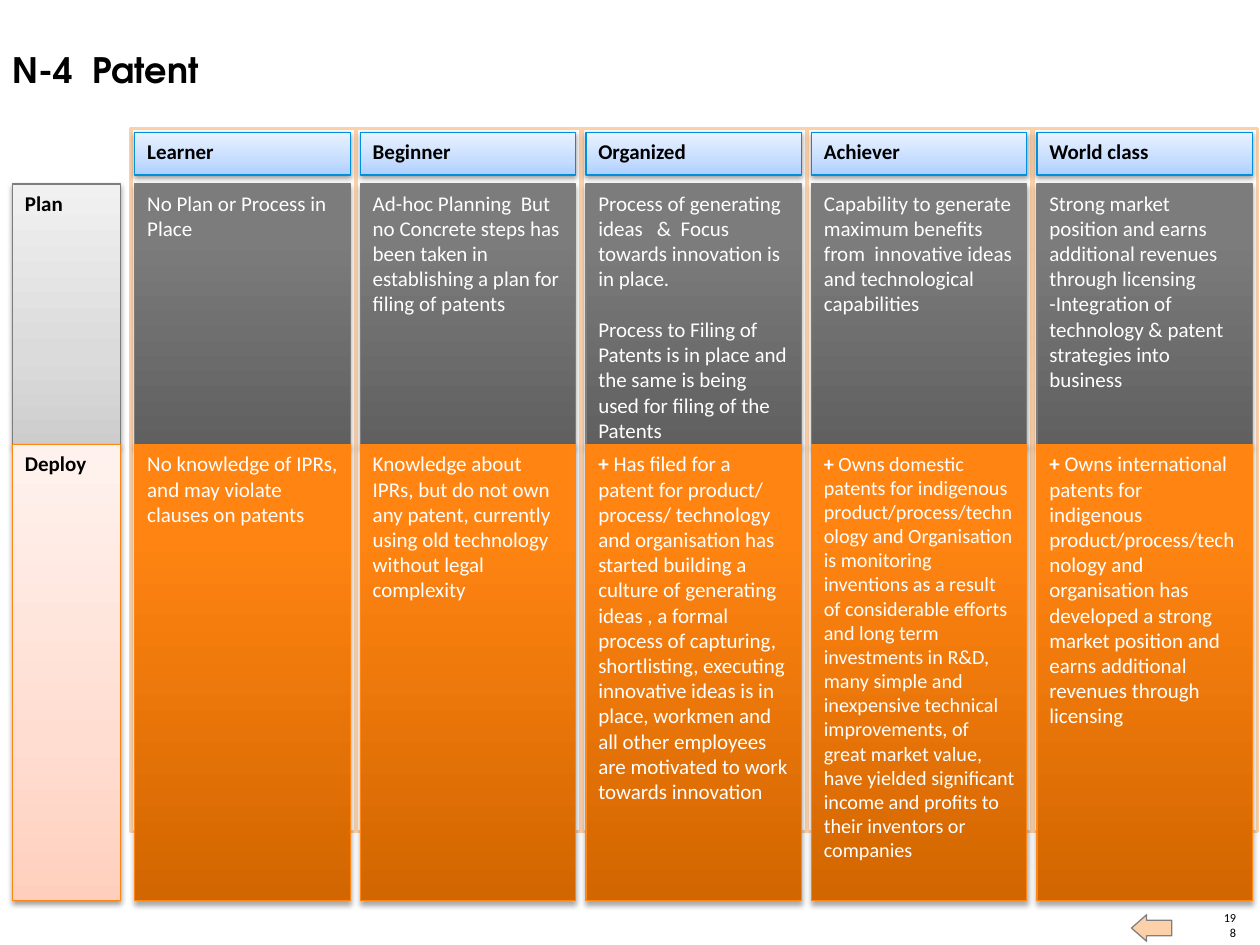
"""Build the patent maturity grid slide."""
from lxml import etree
from pptx import Presentation
from pptx.dml.color import RGBColor
from pptx.enum.shapes import MSO_SHAPE
from pptx.enum.text import MSO_ANCHOR, MSO_AUTO_SIZE, PP_ALIGN
from pptx.oxml.ns import qn
from pptx.util import Inches, Pt

RECT, ARROW = MSO_SHAPE.RECTANGLE, MSO_SHAPE.RIGHT_ARROW
TOP, MIDDLE, BOTTOM = MSO_ANCHOR.TOP, MSO_ANCHOR.MIDDLE, MSO_ANCHOR.BOTTOM
LEFT, RIGHT = PP_ALIGN.LEFT, PP_ALIGN.RIGHT
FIXED = MSO_AUTO_SIZE.NONE

TITLE = "N-4  Patent"
NUMBER = "198"
MARK = "+ "
HEADS = ["Learner", "Beginner", "Organized", "Achiever", "World class"]
PLAN = [
    ["No Plan or Process in Place"],
    ["Ad-hoc Planning  But no Concrete steps has been taken in establishing "
     "a plan for filing of patents"],
    ["Process of generating ideas   &  Focus towards innovation is in place.",
     "Process to Filing of Patents is in place and the same is being used "
     "for filing of the Patents"],
    ["Capability to generate maximum benefits from  innovative ideas and "
     "technological capabilities"],
    ["Strong market position and earns additional revenues through licensing",
     "-Integration of technology & patent strategies into business"],
]
DEPLOY = [
    ["No knowledge of IPRs, and may violate clauses on patents"],
    ["Knowledge about IPRs, but do not own any patent, currently using old "
     "technology without legal complexity"],
    ["+ Has filed for a patent for product/ process/ technology and "
     "organisation has started building a culture of generating ideas , "
     "a formal process of capturing, shortlisting, executing innovative "
     "ideas is in place, workmen and all other employees are motivated to "
     "work towards innovation"],
    ["+ Owns domestic patents for indigenous product/process/technology and "
     "Organisation is monitoring inventions as a result of considerable "
     "efforts and long term investments in R&D, many simple and inexpensive "
     "technical improvements, of great market value, have yielded "
     "significant income and profits to their inventors or companies"],
    ["+ Owns international patents for indigenous product/process/technology "
     "and organisation has developed a strong market position and earns "
     "additional revenues through licensing"],
]
ROWS = [
    {"name": "Plan", "cells": PLAN, "top": 1.46, "high": 2.08,
     "tint": "ash", "deep": "gray"},
    {"name": "Deploy", "cells": DEPLOY, "top": 3.53, "high": 3.62,
     "tint": "blush", "deep": "orange"},
]
GAPS = {(0, 2): 14.6}
SMALL = {(1, 3): 11.5}

THEME = {
    "font": "Calibri", "display": "TeX Gyre Adventor",
    "title": 20, "body": 12, "number": 7,
    "black": "000000", "white": "FFFFFF", "peach": "FCD1AA", "edge": "808080",
    "ash": ([(0, "CDCDCD"), (35, "DBDBDB"), (100, "F1F1F1")], "7D7D7D"),
    "blush": ([(0, "FFCFBD"), (35, "FFDDD1"), (100, "FFF2EE")], "FF8615"),
    "gray": ([(0, "606060"), (80, "7C7C7C"), (100, "7D7D7D")], "7D7D7D"),
    "orange": ([(0, "D26600"), (80, "FF8412"), (100, "FF8514")], "FF8615"),
    "blue": ([(0, "AECFFF"), (35, "C6DDFF"), (100, "E9F2FF")], "008FDC"),
}
STEP, WIDE = 1.79, 1.71


def rgb(name):
    return RGBColor.from_string(THEME.get(name, name))


def style(run, size, color, bold=False, face="font"):
    font = run.font
    font.name, font.size, font.bold = THEME[face], Pt(size), bold
    font.color.rgb = rgb(color)


def node(parent, tag, **attrs):
    return etree.SubElement(parent, qn(tag), attrs)


def draw(slide, kind, box, line, weight):
    shape = slide.shapes.add_shape(kind, *map(Inches, box))
    shape.shadow.inherit = False
    shape.line.color.rgb = rgb(line)
    shape.line.width = Pt(weight)
    return shape


def plain(slide, kind, box, fill, line, weight):
    shape = draw(slide, kind, box, line, weight)
    shape.fill.solid()
    shape.fill.fore_color.rgb = rgb(fill)
    return shape


def shade(shape, stops, alpha, dist):
    props = shape.element.spPr
    grad = etree.Element(qn("a:gradFill"), rotWithShape="1")
    group = node(grad, "a:gsLst")
    for place, color in stops:
        stop = node(group, "a:gs", pos=str(place * 1000))
        node(stop, "a:srgbClr", val=color)
    node(grad, "a:lin", ang="16200000", scaled="0")
    props.find(qn("a:prstGeom")).addnext(grad)
    cast = node(props.find(qn("a:effectLst")), "a:outerShdw", blurRad="40000",
                dist=str(dist), dir="5400000", rotWithShape="0")
    tone = node(cast, "a:srgbClr", val=THEME["black"])
    node(tone, "a:alpha", val=str(alpha * 1000))


def card(slide, box, look, lines, size, gap=0, label=False):
    stops, edge = THEME[look]
    shape = draw(slide, RECT, box, edge, 0.75)
    shade(shape, stops, *((38, 20000) if label else (35, 23000)))
    frame = shape.text_frame
    frame.word_wrap, frame.vertical_anchor = True, TOP
    for i, line in enumerate(lines):
        para = frame.add_paragraph() if i else frame.paragraphs[0]
        para.alignment = LEFT
        if i:
            para.space_before = Pt(gap)
        parts = [MARK, line[len(MARK):]] if line.startswith(MARK) else [line]
        for part in parts:
            run = para.add_run()
            run.text = part
            style(run, size, "black" if label else "white",
                  label or part == MARK)


def caption(frame, text, align, anchor):
    frame.text = text
    frame.word_wrap, frame.auto_size = True, FIXED
    frame.vertical_anchor = anchor
    frame.paragraphs[0].alignment = align
    return frame.paragraphs[0].runs[0]


def main():
    deck = Presentation()
    deck.slide_width, deck.slide_height = Inches(10), Inches(7.5)
    slide = deck.slides.add_slide(deck.slide_layouts[5])
    body = THEME["body"]

    title = slide.shapes.title
    title.left, title.top, title.width, title.height = map(
        Inches, (0, 0.33, 8.6, 0.44))
    run = caption(title.text_frame, TITLE, LEFT, MIDDLE)
    style(run, THEME["title"], "black", True, "display")

    page = slide.shapes.add_textbox(*map(Inches, (9.69, 7.34, 0.12, 0.12)))
    frame = page.text_frame
    frame.margin_left = frame.margin_right = 0
    frame.margin_top = frame.margin_bottom = 0
    style(caption(frame, NUMBER, RIGHT, BOTTOM), THEME["number"], "black")

    arrow = plain(slide, ARROW, (8.98, 7.26, 0.32, 0.21),
                  "peach", "edge", 0.75)
    arrow.rotation = 180
    arrow.adjustments[0], arrow.adjustments[1] = 0.59, 0.57

    for row in ROWS:
        card(slide, (0.1, row["top"], 0.86, row["high"]), row["tint"],
             [row["name"]], body, label=True)
    for col in range(len(HEADS)):
        plain(slide, RECT, (1.04 + col * STEP, 1.02, 1.78, 5.58),
              "white", "peach", 2)
    for r, row in enumerate(ROWS):
        for col, lines in enumerate(row["cells"]):
            card(slide, (1.07 + col * STEP, row["top"], WIDE, row["high"]),
                 row["deep"], lines, SMALL.get((r, col), body),
                 GAPS.get((r, col), 0))
    for col, head in enumerate(HEADS):
        card(slide, (1.07 + col * STEP, 1.05, WIDE, 0.34), "blue",
             [head], body, label=True)

    deck.save("out.pptx")


if __name__ == "__main__":
    main()
